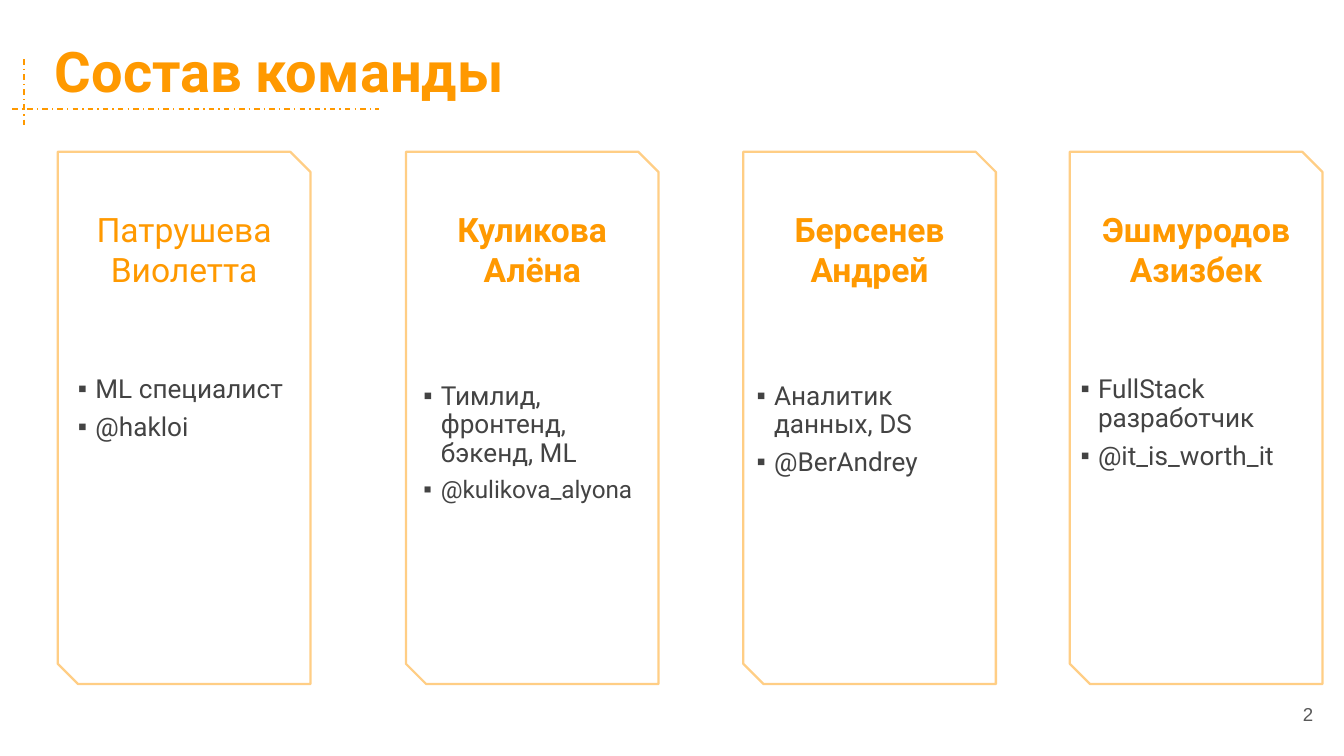
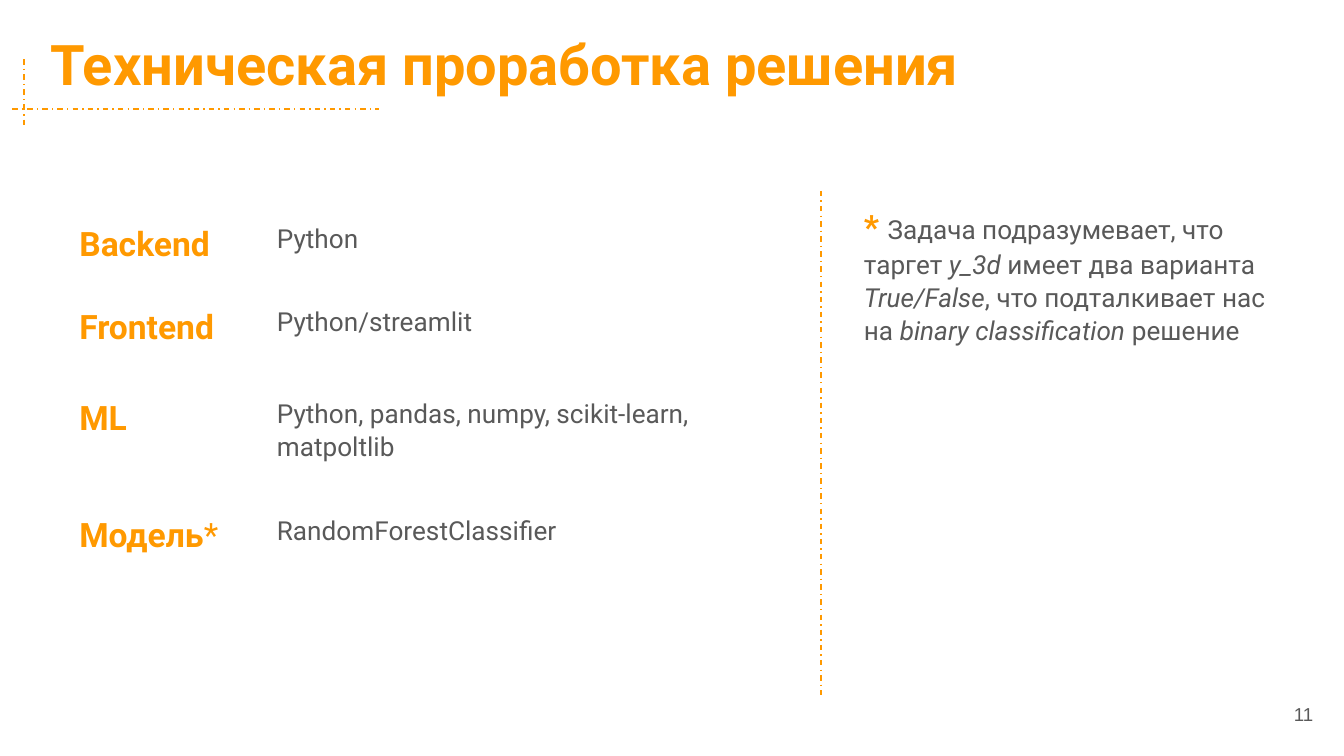
import pptx
import pptx.dml.color
import pptx.enum.dml
import pptx.enum.shapes
import pptx.enum.text
import pptx.oxml
import pptx.oxml.ns
import pptx.util
from lxml import etree

Inches, Pt = pptx.util.Inches, pptx.util.Pt
ALIGN, ANCHOR = pptx.enum.text.PP_ALIGN, pptx.enum.text.MSO_ANCHOR
qn = pptx.oxml.ns.qn

COLORS = {"accent": "FF9900", "dark": "434343", "grey": "595959", "white": "FFFFFF"}
TITLE = {"size": 30, "color": "accent", "bold": True}
NAME = {"size": 18, "color": "accent", "bold": True}
LIGHT_NAME = {**NAME, "bold": False}
BULLET = {"size": 14, "color": "dark"}
SMALL_BULLET = {**BULLET, "size": 13}
BODY = {"size": 14, "color": "grey"}
TERM = {**BODY, "italic": True}
NUMBER = {"size": 10, "color": "grey", "font": "Arial"}

TEAM_TITLE = "Состав команды"
# card left, name lines, name format, list left, list top, list items
TEAM = [
    (0.43, ["Патрушева Виолетта"], LIGHT_NAME, 0.5, 2.76,
     [("ML специалист", BULLET), ("@hakloi", BULLET)]),
    (3.02, ["Куликова", "Алёна"], NAME, 3.07, 2.81,
     [("Тимлид, фронтенд, бэкенд, ML", BULLET), ("@kulikova_alyona", SMALL_BULLET)]),
    (5.53, ["Берсенев Андрей"], NAME, 5.55, 2.81,
     [("Аналитик данных, DS", BULLET), ("@BerAndrey", BULLET)]),
    (7.96, ["Эшмуродов Азизбек"], NAME, 7.96, 2.76,
     [("FullStack разработчик", BULLET), ("@it_is_worth_it", BULLET)]),
]

STACK_TITLE = "Техническая проработка решения"
# row height, line spacing, label runs, value
STACK = [
    (0.62, 1.15, [("Backend", NAME)], "Python"),
    (0.71, 1.15, [("Frontend", NAME)], "Python/streamlit"),
    (0.87, 1.05, [("ML", NAME)], "Python, pandas, numpy, scikit-learn, matpoltlib"),
    (0.42, 1.05, [("Модель", NAME), ("*", LIGHT_NAME)], "RandomForestClassifier"),
]
STACK_COLUMNS = [1.47, 3.98]
FOOTNOTE = [
    ("* ", NAME), ("Задача подразумевает, что таргет ", BODY), ("y_3d ", TERM),
    ("имеет два варианта ", BODY), ("True/False", TERM),
    (", что подталкивает нас на ", BODY), ("binary classification", TERM),
    (" решение", BODY),
]


def rgb(name):
    return pptx.dml.color.RGBColor.from_string(COLORS[name])


def write(tf, paragraphs, **layout):
    """Fill a text frame with paragraphs, each a list of (text, format) runs."""
    for i, runs in enumerate(paragraphs):
        p = tf.paragraphs[0] if i == 0 else tf.add_paragraph()
        for key, value in layout.items():
            setattr(p, key, value)
        for text, fmt in runs:
            r = p.add_run()
            r.text = text
            r.font.name = fmt.get("font", "Roboto")
            r.font.size = Pt(fmt["size"])
            r.font.color.rgb = rgb(fmt["color"])
            r.font.bold = fmt.get("bold", False)
            r.font.italic = fmt.get("italic", False)


def set_frame(tf, x_margin, top, bottom, anchor=ANCHOR.TOP):
    frame = {"word_wrap": True, "vertical_anchor": anchor,
             "margin_left": Inches(x_margin), "margin_right": Inches(x_margin),
             "margin_top": Inches(top), "margin_bottom": Inches(bottom)}
    for key, value in frame.items():
        setattr(tf, key, value)


def add_text(s, box, paragraphs, margins=(0.1, 0.1, 0.1), anchor=ANCHOR.TOP, **layout):
    tf = s.shapes.add_textbox(*map(Inches, box)).text_frame
    set_frame(tf, *margins, anchor)
    write(tf, paragraphs, **layout)
    return tf


def add_dashed_line(s, x1, y1, x2, y2):
    line = s.shapes.add_connector(pptx.enum.shapes.MSO_CONNECTOR.STRAIGHT,
                                  *map(Inches, (x1, y1, x2, y2)))
    line.line.color.rgb = rgb("accent")
    line.line.width = Pt(0.75)
    line.line.dash_style = pptx.enum.dml.MSO_LINE.DASH_DOT
    etree.SubElement(line._element.spPr, qn("a:effectLst"))


def add_slide(prs, title, title_box, number):
    """Add a slide with its title, crossed dashed lines and page number."""
    s = prs.slides.add_slide(prs.slide_layouts[6])
    add_dashed_line(s, 0.18, 0.44, 0.18, 0.96)
    add_dashed_line(s, 0.09, 0.81, 2.82, 0.81)
    add_text(s, title_box, [[(title, TITLE)]])
    add_text(s, (9.27, 5.1, 0.6, 0.43), [[(str(number), NUMBER)]],
             anchor=ANCHOR.MIDDLE, alignment=ALIGN.RIGHT)
    return s


def add_card(s, left, names, fmt):
    sp = s.shapes.add_shape(pptx.enum.shapes.MSO_SHAPE.SNIP_2_DIAG_RECTANGLE,
                            *map(Inches, (left, 1.13, 1.88, 3.96)))
    sp.adjustments[0], sp.adjustments[1] = 0, 0.08
    sp.shadow.inherit = False
    sp.fill.background()
    sp.line.color.rgb = rgb("accent")
    sp.line.width = Pt(1.23)
    color = sp.line._ln.find(".//" + qn("a:srgbClr"))
    etree.SubElement(color, qn("a:alpha"), val="47000")
    set_frame(sp.text_frame, 0.08, 0.35, 0.04)
    write(sp.text_frame, [[(name, fmt)] for name in names], alignment=ALIGN.CENTER)


def add_bullets(s, left, top, items):
    tf = add_text(s, (left, top, 1.75, 5.31 - top), [[item] for item in items],
                  margins=(0.08, 0.04, 0.04), line_spacing=0.9)
    for i, p in enumerate(tf.paragraphs):
        if i:
            p.space_before = Pt(5.2)
        pPr = p._p.get_or_add_pPr()
        pPr.set("marL", str(Inches(0.13)))
        pPr.set("indent", str(Inches(-0.15)))
        color = etree.SubElement(pPr, qn("a:buClr"))
        etree.SubElement(color, qn("a:srgbClr"), val=COLORS["dark"])
        etree.SubElement(pPr, qn("a:buFont"), typeface="Arial")
        etree.SubElement(pPr, qn("a:buChar"), char="▪")


def set_borders(cell):
    tcPr = cell._tc.get_or_add_tcPr()
    for i, side in enumerate(("lnL", "lnR", "lnT", "lnB")):
        ln = etree.Element(qn("a:" + side), w=str(Pt(0.75)))
        fill = etree.SubElement(ln, qn("a:solidFill"))
        etree.SubElement(fill, qn("a:srgbClr"), val=COLORS["white"])
        tcPr.insert(i, ln)


def add_stack_table(s):
    heights = [row[0] for row in STACK]
    box = (0.49, 1.53, sum(STACK_COLUMNS), sum(heights))
    table = s.shapes.add_table(len(STACK), len(STACK_COLUMNS), *map(Inches, box)).table
    table.first_row = table.horz_banding = False
    for column, width in zip(table.columns, STACK_COLUMNS):
        column.width = Inches(width)
    for row, (height, spacing, label, value) in zip(table.rows, STACK):
        row.height = Inches(height)
        for cell, runs in zip(row.cells, (label, [(value, BODY)])):
            cell.fill.background()
            set_borders(cell)
            for side in ("left", "right", "top", "bottom"):
                setattr(cell, "margin_" + side, Inches(0.1))
            write(cell.text_frame, [runs], line_spacing=spacing, space_after=Pt(12))


def main():
    prs = pptx.Presentation()
    prs.slide_width = Inches(10)
    prs.slide_height = prs.slide_width * 9 // 16

    s = add_slide(prs, TEAM_TITLE, (0.31, 0.17, 8.16, 1), 2)
    for left, names, fmt, list_left, list_top, items in TEAM:
        add_card(s, left, names, fmt)
        add_bullets(s, list_left, list_top, items)

    s = add_slide(prs, STACK_TITLE, (0.28, 0.12, 9.32, 0.63), 11)
    add_stack_table(s)
    add_dashed_line(s, 6.11, 1.42, 6.11, 5.17)
    add_text(s, (6.33, 1.42, 3.27, 4.15), [FOOTNOTE], line_spacing=1.05, space_after=Pt(12))

    prs.save("out.pptx")


if __name__ == "__main__":
    main()
